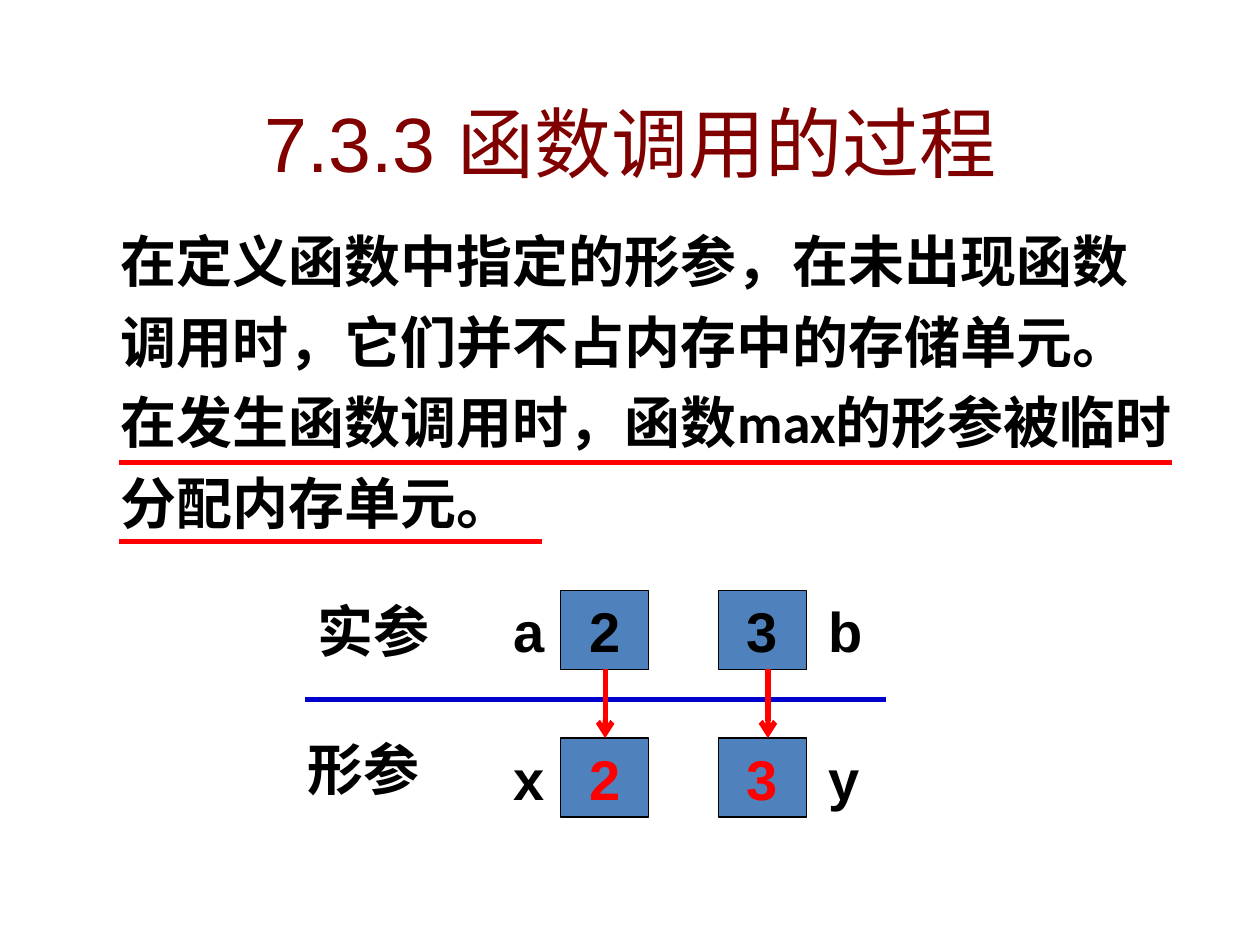
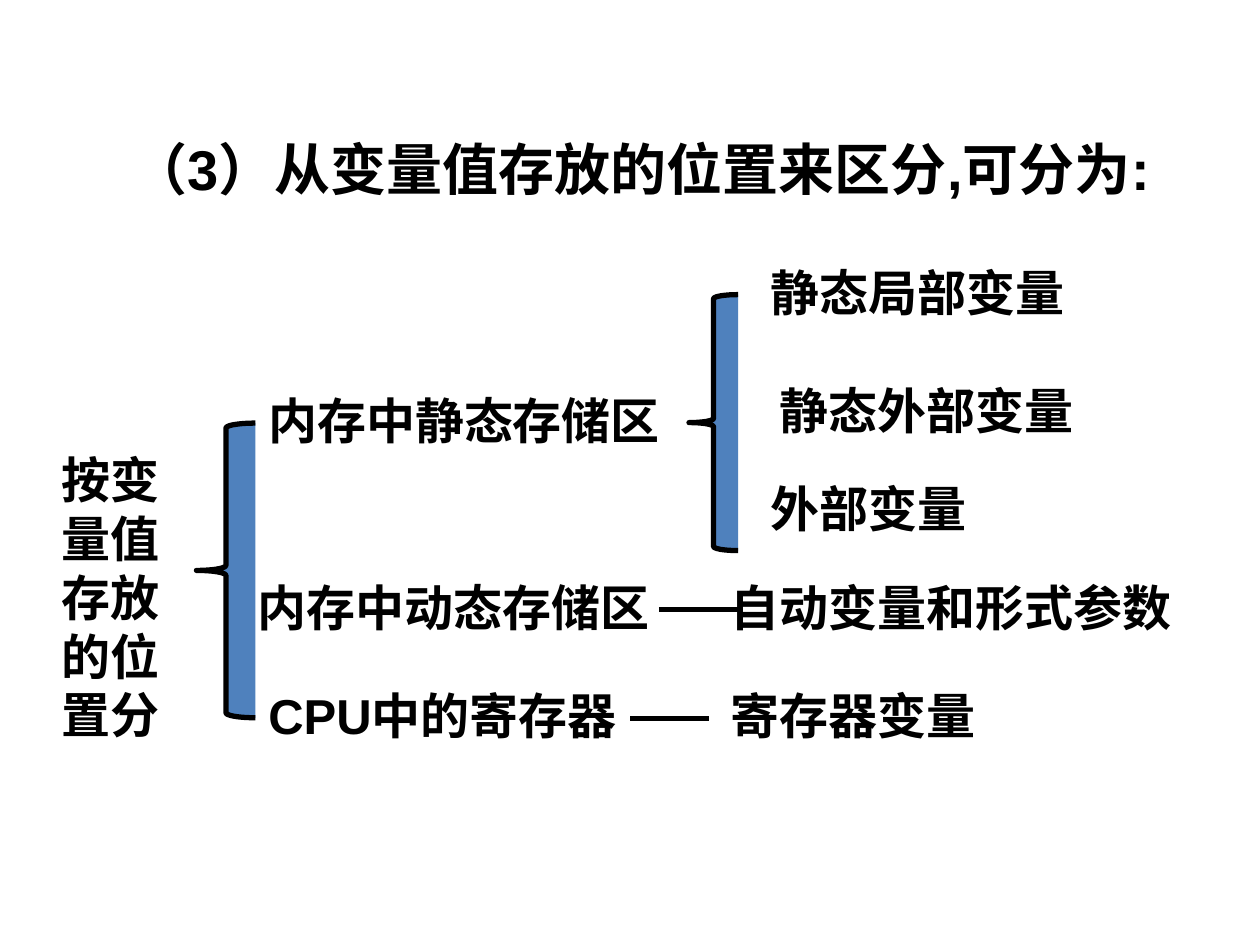
from lxml import etree
from pptx import Presentation
from pptx.dml.color import RGBColor
from pptx.enum.shapes import MSO_CONNECTOR, MSO_SHAPE
from pptx.enum.text import MSO_ANCHOR, MSO_AUTO_SIZE, PP_ALIGN
from pptx.oxml.ns import qn
from pptx.util import Cm, Pt

BLACK = RGBColor(0x00, 0x00, 0x00)
RED = RGBColor(0xFF, 0x00, 0x00)
MAROON = RGBColor(0x80, 0x00, 0x00)
NAVY = RGBColor(0x00, 0x00, 0xCC)
BLUE = RGBColor(0x4F, 0x81, 0xBD)

LEFT, CENTER = PP_ALIGN.LEFT, PP_ALIGN.CENTER
TOP, MIDDLE = MSO_ANCHOR.TOP, MSO_ANCHOR.MIDDLE
NO_FIT = MSO_AUTO_SIZE.NONE
STRAIGHT = MSO_CONNECTOR.STRAIGHT
PROCESS, LEFT_BRACE = MSO_SHAPE.FLOWCHART_PROCESS, MSO_SHAPE.LEFT_BRACE
TITLE_ONLY = 5


class Deck:
    """Holds the style and the current slide; all positions are in centimetres."""

    def __init__(self):
        self.presentation = Presentation()
        self.presentation.slide_width = Cm(25.4)
        self.presentation.slide_height = Cm(19.05)
        self.slide = None

    def new_slide(self):
        layout = self.presentation.slide_layouts[TITLE_ONLY]
        self.slide = self.presentation.slides.add_slide(layout)

    def set_text(self, shape, text, size, color=BLACK, bold=True, align=LEFT,
                 anchor=TOP, font="Arial", wrap=True):
        text_frame = shape.text_frame
        text_frame.text = text
        text_frame.word_wrap = wrap
        text_frame.auto_size = NO_FIT
        text_frame.vertical_anchor = anchor
        paragraph = text_frame.paragraphs[0]
        paragraph.alignment = align
        run_font = paragraph.runs[0].font
        run_font.name, run_font.size, run_font.bold = font, Pt(size), bold
        run_font.color.rgb = color
        return paragraph

    def title(self, text, left, top, width, height, size, **style):
        shape = self.slide.shapes.title
        shape.left, shape.top = Cm(left), Cm(top)
        shape.width, shape.height = Cm(width), Cm(height)
        self.set_text(shape, text, size, **style)

    def label(self, text, left, top, width, height=1.45, size=28, **style):
        shape = self.slide.shapes.add_textbox(Cm(left), Cm(top), Cm(width), Cm(height))
        return self.set_text(shape, text, size, **style)

    def filled_shape(self, kind, left, top, width, height, line_width):
        shape = self.slide.shapes.add_shape(kind, Cm(left), Cm(top), Cm(width), Cm(height))
        shape.shadow.inherit = False
        shape.fill.solid()
        shape.fill.fore_color.rgb = BLUE
        shape.line.color.rgb = BLACK
        shape.line.width = Pt(line_width)
        return shape

    def memory_cell(self, value, left, top, color):
        shape = self.filled_shape(PROCESS, left, top, 1.78, 1.59, 0.75)
        self.set_text(shape, value, 32, color, align=CENTER, wrap=False)

    def brace(self, left, top, width, height):
        self.filled_shape(LEFT_BRACE, left, top, width, height, 3)

    def line(self, start_x, start_y, end_x, end_y, color=BLACK, arrow=False):
        connector = self.slide.shapes.add_connector(
            STRAIGHT, Cm(start_x), Cm(start_y), Cm(end_x), Cm(end_y))
        connector.line.color.rgb = color
        connector.line.width = Pt(3)
        properties = connector._element.spPr
        if arrow:
            etree.SubElement(properties.find(qn("a:ln")), qn("a:tailEnd"), type="arrow")
        etree.SubElement(properties, qn("a:effectLst"))


def build_call_process(deck):
    deck.new_slide()
    deck.title("7.3.3 函数调用的过程", 0.41, 1.8, 24.61, 2.13, 44,
               color=MAROON, bold=False, align=CENTER, anchor=MIDDLE)

    # Explanation with its underlined part
    explanation = deck.label(
        "在定义函数中指定的形参，在未出现函数调用时，它们并不占内存中的存储单元。"
        "在发生函数调用时，函数max的形参被临时分配内存单元。",
        2.18, 4.17, 21.82, 7.75, 32, font="Calibri")
    explanation.line_spacing = 1.2
    deck.line(2.39, 9.32, 23.62, 9.32, RED)
    deck.line(2.39, 10.92, 10.92, 10.92, RED)

    # Arguments above the divider, parameters below it
    argument_top, parameter_top = 11.91, 14.88
    deck.line(6.15, 14.1, 17.86, 14.1, NAVY)
    deck.label("实参", 6.15, argument_top, 3.18, 1.63, 32)
    deck.label("形参", 5.94, 14.68, 3.18, 1.63, 32)

    # Each value is passed down from argument to parameter
    columns = [("2", "a", "x", 11.3, 10.11, 12.2),
               ("3", "b", "y", 14.48, 16.46, 15.48)]
    for value, argument, parameter, cell_left, name_left, arrow_x in columns:
        for name, top, color in ((argument, argument_top, BLACK),
                                 (parameter, parameter_top, RED)):
            deck.memory_cell(value, cell_left, top, color)
            deck.label(name, name_left, top, 1.4, 1.63, 32)
        deck.line(arrow_x, 13.49, arrow_x, parameter_top, RED, arrow=True)


def build_storage_locations(deck):
    deck.new_slide()
    deck.title("（3）从变量值存放的位置来区分,可分为:", 2.39, 2.59, 21.44, 2.97, 32)

    # Braces go first so that the labels stay on top
    deck.brace(3.96, 8.53, 1.19, 5.94)
    deck.brace(13.89, 5.94, 0.99, 5.16)

    # Root of the classification
    deck.label("按变量值存放的位置分", 0.99, 8.94, 2.77, 6.2)

    # Storage areas and the kinds of variable they hold
    for text, left, top, width in (
            ("内存中静态存储区", 5.16, 7.75, 8.94),
            ("内存中动态存储区", 4.95, 11.51, 8.74),
            ("CPU中的寄存器", 5.16, 13.69, 8.53),
            ("静态局部变量", 15.29, 5.16, 7.14),
            ("静态外部变量", 15.47, 7.54, 6.76),
            ("外部变量", 15.29, 9.53, 5.56),
            ("自动变量和形式参数", 14.48, 11.51, 9.93),
            ("寄存器变量", 14.48, 13.69, 6.76)):
        deck.label(text, left, top, width)

    # Links for areas that hold a single kind
    for left, y in ((13.28, 12.29), (12.7, 14.48)):
        deck.line(left, y, left + 1.6, y)


def main():
    deck = Deck()
    build_call_process(deck)
    build_storage_locations(deck)
    deck.presentation.save("out.pptx")


if __name__ == "__main__":
    main()
